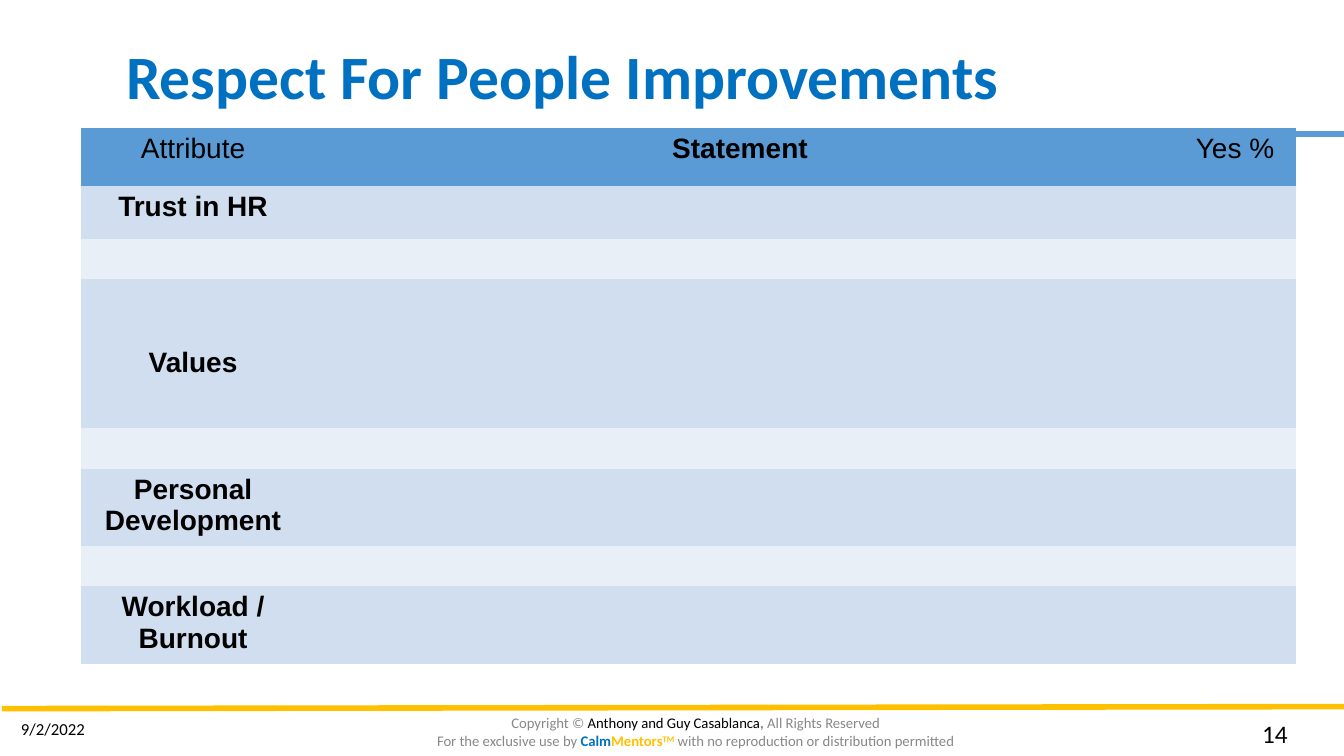
from lxml import etree
from pptx import Presentation
from pptx.dml.color import RGBColor
from pptx.enum.shapes import MSO_CONNECTOR
from pptx.enum.text import MSO_ANCHOR, PP_ALIGN
from pptx.oxml.ns import qn
from pptx.util import Inches, Pt

STRAIGHT = MSO_CONNECTOR.STRAIGHT
MIDDLE, TOP = MSO_ANCHOR.MIDDLE, MSO_ANCHOR.TOP
CENTER, LEFT = PP_ALIGN.CENTER, PP_ALIGN.LEFT

WIDTH, HEIGHT = 13.33, 7.5
COLORS = {"blue": "0070C0", "header": "5B9BD5", "band": "D0DEEF", "gap": "E9EFF7",
          "gold": "FFC000", "gray": "888888", "black": "000000"}
NO_TABLE_STYLE = "{2D5ABB26-0587-4C30-8999-92F81FD0307C}"

COLUMNS = [("Attribute", 2.23, False), ("Statement", 8.62, True), ("Yes %", 1.2, False)]
# Attribute, row height, top margin
ATTRIBUTES = [("Trust in HR", 0.52, 0.05), ("Values", 1.48, 0.67),
              ("Personal Development", 0.71, 0.05), ("Workload / Burnout", 0.71, 0.05)]
HEADER_HEIGHT, GAP_HEIGHT = 0.58, 0.38

# Text, colour, bold, superscript
COPYRIGHT = [
    [("Copyright © ", "gray", False, False),
     ("Anthony and Guy Casablanca", "black", False, False),
     (", ", "gray", True, False),
     ("All Rights Reserved", "gray", False, False)],
    [("For the exclusive use by ", "gray", False, False),
     ("Calm", "blue", True, False),
     ("Mentors", "gold", True, False),
     ("TM", "gold", True, True),
     (" with no reproduction or distribution permitted", "gray", False, False)],
]


def rgb(name):
    return RGBColor.from_string(COLORS[name])


def set_font(font, family, size, color, bold=False):
    font.name, font.size, font.bold = family, Pt(size), bold
    font.color.rgb = rgb(color)


def add_rule(slide, start, end, color):
    rule = slide.shapes.add_connector(STRAIGHT, *map(Inches, start + end))
    rule.line.color.rgb = rgb(color)
    rule.line.width = Pt(4)
    etree.SubElement(rule._element.spPr, qn("a:effectLst"))


def add_label(slide, box, text, size):
    frame = slide.shapes.add_textbox(*map(Inches, box)).text_frame
    frame.word_wrap = True
    frame.text = text
    set_font(frame.paragraphs[0].font, "Calibri", size, "black")


def add_title(slide, box):
    title = slide.shapes.title
    title.left, title.top, title.width, title.height = map(Inches, box)
    frame = title.text_frame
    frame.text = "Respect For People Improvements"
    frame.vertical_anchor = MIDDLE
    heading = frame.paragraphs[0]
    heading.alignment, heading.line_spacing = LEFT, 0.9
    set_font(heading.font, "Calibri", 44, "blue", True)


def add_copyright(slide, box):
    frame = slide.shapes.add_textbox(*map(Inches, box)).text_frame
    frame.word_wrap = True
    frame.vertical_anchor = MIDDLE
    for index, pieces in enumerate(COPYRIGHT):
        notice = frame.add_paragraph() if index else frame.paragraphs[0]
        notice.alignment = CENTER
        for text, color, bold, superscript in pieces:
            piece = notice.add_run()
            piece.text = text
            set_font(piece.font, "Calibri", 10.5, color, bold)
            if superscript:
                piece._r.get_or_add_rPr().set("baseline", "30000")


def add_footer(slide, top):
    add_rule(slide, (0.02, top), (WIDTH, top - 0.02), "gold")
    add_copyright(slide, (1.9, top + 0.03, 10, 0.4))
    add_label(slide, (0.11, top + 0.05, 1.4, 0.4), "9/2/2022", 12)
    add_label(slide, (12.42, top + 0.05, 0.84, 0.4), "14", 18)


def fill_cell(cell, text, bold, margin):
    cell.text = text
    cell.margin_top = Inches(margin)
    cell.vertical_anchor = TOP
    cell.text_frame.paragraphs[0].alignment = CENTER
    set_font(cell.text_frame.paragraphs[0].font, "Arial", 20, "black", bold)


def add_attribute_table(slide, left, top):
    heights = [HEADER_HEIGHT]
    for _, height, _ in ATTRIBUTES:
        heights += [height, GAP_HEIGHT]
    heights.pop()
    widths = [width for _, width, _ in COLUMNS]
    frame = slide.shapes.add_table(len(heights), len(widths), Inches(left), Inches(top),
                                   Inches(sum(widths)), Inches(sum(heights)))
    table = frame.table
    table._tbl.tblPr.find(qn("a:tableStyleId")).text = NO_TABLE_STYLE
    for column, width in zip(table.columns, widths):
        column.width = Inches(width)
    for index, (row, height) in enumerate(zip(table.rows, heights)):
        row.height = Inches(height)
        color = "header" if index == 0 else "band" if index % 2 else "gap"
        for cell in row.cells:
            cell.fill.solid()
            cell.fill.fore_color.rgb = rgb(color)
    for index, (heading, _, bold) in enumerate(COLUMNS):
        fill_cell(table.cell(0, index), heading, bold, 0.05)
    for index, (attribute, _, margin) in enumerate(ATTRIBUTES):
        fill_cell(table.cell(2 * index + 1, 0), attribute, True, margin)


def main():
    deck = Presentation()
    deck.slide_width, deck.slide_height = Inches(WIDTH), Inches(HEIGHT)
    slide = deck.slides.add_slide(deck.slide_layouts.get_by_name("Title Only"))
    add_rule(slide, (1.16, 1.33), (WIDTH, 1.33), "header")
    add_footer(slide, 7.03)
    add_title(slide, (1.15, 0.32, 11.5, 0.93))
    add_attribute_table(slide, 0.8, 1.27)
    deck.save("out.pptx")


if __name__ == "__main__":
    main()
